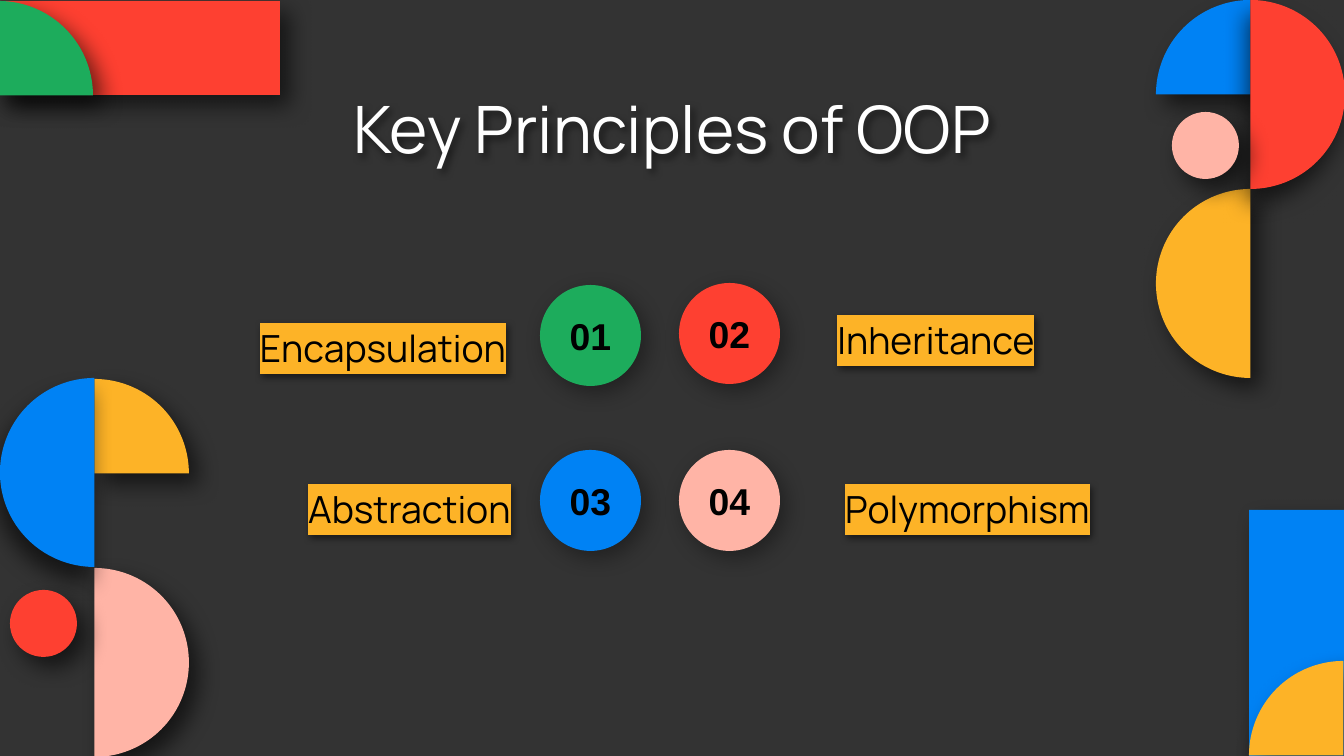
import lxml.etree
import pptx
import pptx.dml.color
import pptx.enum.shapes
import pptx.enum.text
import pptx.oxml.ns
import pptx.util

SHAPE = pptx.enum.shapes.MSO_SHAPE
PX = 914400 / 134.4
W, H = 1344, 756

DARK, WHITE, BLACK = "333333", "FFFFFF", "000000"
BLUE, RED, GREEN = "0082F4", "FE4031", "1DAC5C"
YELLOW, PINK = "FDB327", "FFB4A6"

# Start and end angle of each pie, clockwise from the right
LEFT_HALF, RIGHT_HALF = (90, 270), (270, 90)
TOP_LEFT, TOP_RIGHT = (180, 270), (270, 0)

# Shadow: opacity %, blur pt, distance pt, direction in degrees
DECOR_SHADOW = (59, 12.4, 7.5, 50)
HALF_SHADOW = (59, 12.4, 7.5, 107)
BADGE_SHADOW = (37, 12.4, 4.5, 50)
TEXT_SHADOW = (50, 4, 2, 50)

D, DOT, BADGE = 189, 67, 101
# kind, left, top, width, height, colour, pie angles, shadow
DECOR = [
    (SHAPE.RECTANGLE, 1249, 510, 95, 246, BLUE, None, DECOR_SHADOW),
    (SHAPE.PIE, 1156, 0, D, D, BLUE, TOP_LEFT, DECOR_SHADOW),
    (SHAPE.PIE, 1156, 189, D, D, YELLOW, LEFT_HALF, DECOR_SHADOW),
    (SHAPE.PIE, 1156, 0, D, D, RED, RIGHT_HALF, HALF_SHADOW),
    (SHAPE.OVAL, 1172, 112, DOT, DOT, PINK, None, DECOR_SHADOW),
    (SHAPE.PIE, 1249, 661, D, D, YELLOW, TOP_LEFT, DECOR_SHADOW),
    (SHAPE.PIE, 0, 379, D, D, YELLOW, TOP_RIGHT, DECOR_SHADOW),
    (SHAPE.PIE, 0, 568, D, D, PINK, RIGHT_HALF, DECOR_SHADOW),
    (SHAPE.PIE, 0, 378, D, D, BLUE, LEFT_HALF, HALF_SHADOW),
    (SHAPE.OVAL, 10, 590, DOT, DOT, RED, None, DECOR_SHADOW),
    (SHAPE.RECTANGLE, -1, 1, 281, 94, RED, None, DECOR_SHADOW),
    (SHAPE.PIE, -96, 1, D, D, GREEN, TOP_RIGHT, DECOR_SHADOW),
]
TITLE = ("Key Principles of OOP", (106, 85, 1133, 85))
# label, label box, number, badge left and top, badge colour
PRINCIPLES = [
    ("Encapsulation", (225, 309, 316, 78), "01", (540, 285), GREEN),
    ("Inheritance", (817, 301, 238, 78), "02", (679, 283), RED),
    ("Abstraction", (285, 470, 249, 78), "03", (540, 450), BLUE),
    ("Polymorphism", (817, 470, 301, 78), "04", (679, 450), PINK),
]


def px(n):
    return round(n * PX)


def rgb(colour):
    return pptx.dml.color.RGBColor.from_string(colour)


def child(parent, tag, **attrs):
    el = lxml.etree.SubElement(parent, pptx.oxml.ns.qn(tag))
    for name, value in attrs.items():
        el.set(name, str(value))
    return el


def add_shadow(sp, opacity, blur, dist, angle):
    sp.shadow.inherit = False
    effects = sp._element.spPr.find(pptx.oxml.ns.qn("a:effectLst"))
    outer = child(effects, "a:outerShdw", blurRad=pptx.util.Pt(blur),
                  dist=pptx.util.Pt(dist), dir=angle * 60000,
                  algn="bl", rotWithShape=0)
    child(child(outer, "a:srgbClr", val=BLACK), "a:alpha", val=opacity * 1000)


def add_shape(slide, kind, box, colour, shadow, angles=None):
    sp = slide.shapes.add_shape(kind, *map(px, box))
    sp.fill.solid()
    sp.fill.fore_color.rgb = rgb(colour)
    sp.line.fill.background()
    for i, degrees in enumerate(angles or ()):
        sp.adjustments[i] = degrees * 0.6  # 60000ths of a degree / 100000
    add_shadow(sp, *shadow)
    return sp


def write(sp, text, size, colour, font, bold=False, highlight=None):
    tf = sp.text_frame
    inset = pptx.util.Inches(0.1)
    frame = {"word_wrap": True,
             "vertical_anchor": pptx.enum.text.MSO_ANCHOR.MIDDLE,
             "margin_left": inset, "margin_right": inset,
             "margin_top": inset, "margin_bottom": inset}
    for name, value in frame.items():
        setattr(tf, name, value)
    p = tf.paragraphs[0]
    p.alignment = pptx.enum.text.PP_ALIGN.CENTER
    r = p.add_run()
    r.text = text
    for name, value in {"size": pptx.util.Pt(size), "name": font, "bold": bold}.items():
        setattr(r.font, name, value)
    r.font.color.rgb = rgb(colour)
    if highlight:
        rPr = r._r.get_or_add_rPr()
        mark = child(rPr, "a:highlight")
        child(mark, "a:srgbClr", val=highlight)
        rPr.find(pptx.oxml.ns.qn("a:solidFill")).addnext(mark)


def add_text(slide, text, box, size, colour, highlight=None):
    sp = slide.shapes.add_textbox(*map(px, box))
    write(sp, text, size, colour, "Manrope", highlight=highlight)
    add_shadow(sp, *TEXT_SHADOW)


def main():
    prs = pptx.Presentation()
    prs.slide_width, prs.slide_height = px(W), px(H)
    slide = prs.slides.add_slide(prs.slide_layouts[6])
    slide.background.fill.solid()
    slide.background.fill.fore_color.rgb = rgb(DARK)

    for kind, *box, colour, angles, shadow in DECOR:
        add_shape(slide, kind, box, colour, shadow, angles)
    add_text(slide, *TITLE, 35, WHITE)
    for label, box, number, corner, colour in PRINCIPLES:
        add_text(slide, label, box, 20, BLACK, YELLOW)
        badge = add_shape(slide, SHAPE.OVAL, (*corner, BADGE, BADGE), colour, BADGE_SHADOW)
        write(badge, number, 20, BLACK, "Arial", bold=True)
    prs.save("out.pptx")


if __name__ == "__main__":
    main()
